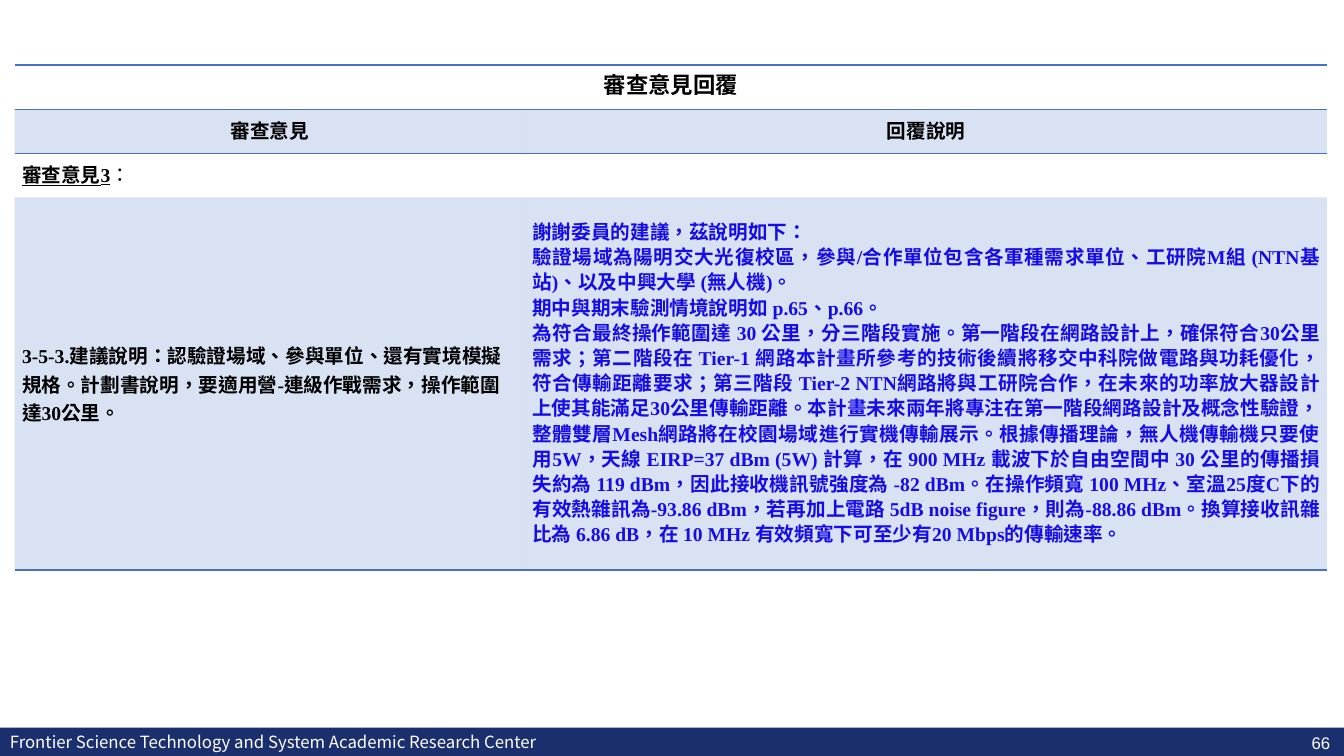
from lxml import etree
from pptx import Presentation
from pptx.dml.color import RGBColor
from pptx.enum.shapes import MSO_SHAPE
from pptx.enum.text import MSO_ANCHOR, PP_ALIGN
from pptx.oxml.ns import qn
from pptx.util import Pt

PX = 9525
CENTER, LEFT, JUSTIFY = PP_ALIGN.CENTER, PP_ALIGN.LEFT, PP_ALIGN.JUSTIFY
MIDDLE, TOP = MSO_ANCHOR.MIDDLE, MSO_ANCHOR.TOP
RECT = MSO_SHAPE.RECTANGLE

SANS, SERIF, ARIAL = "Noto Sans CJK SC", "Times New Roman", "Arial"
NAVY, BLUE, INK, REPLY, WHITE = "1B2F6E", "4472C4", "000000", "160CE8", "FFFFFF"
PLAIN_TABLE = "{2D5ABB26-0587-4C30-8999-92F81FD0307C}"

TITLE = dict(name=SANS, size=Pt(16), bold=True, color=INK)
HEAD = dict(TITLE, size=Pt(14))
BODY = dict(HEAD, name=SERIF)
ANSWER = dict(BODY, color=REPLY)
FOOTER = dict(name=SANS, size=Pt(12), color=WHITE)

COMMENT = "3-5-3.建議說明：認驗證場域、參與單位、還有實境模擬規格。計劃書說明，要適用營-連級作戰需求，操作範圍達30公里。"
REPLIES = [
    "謝謝委員的建議，茲說明如下：",
    "驗證場域為陽明交大光復校區，參與/合作單位包含各軍種需求單位、工研院M組 (NTN基站)、以及中興大學 (無人機)。",
    "期中與期末驗測情境說明如 p.65、p.66。",
    "為符合最終操作範圍達 30 公里，分三階段實施。第一階段在網路設計上，確保符合30公里需求；"
    "第二階段在 Tier-1 網路本計畫所參考的技術後續將移交中科院做電路與功耗優化，符合傳輸距離要求；"
    "第三階段 Tier-2 NTN網路將與工研院合作，在未來的功率放大器設計上使其能滿足30公里傳輸距離。"
    "本計畫未來兩年將專注在第一階段網路設計及概念性驗證，整體雙層Mesh網路將在校園場域進行實機傳輸展示。"
    "根據傳播理論，無人機傳輸機只要使用5W，天線 EIRP=37 dBm (5W) 計算，"
    "在 900 MHz 載波下於自由空間中 30 公里的傳播損失約為 119 dBm，因此接收機訊號強度為 -82 dBm。"
    "在操作頻寬 100 MHz、室溫25度C下的有效熱雜訊為-93.86 dBm，"
    "若再加上電路 5dB noise figure，則為-88.86 dBm。"
    "換算接收訊雜比為 6.86 dB，在 10 MHz 有效頻寬下可至少有20 Mbps的傳輸速率。",
]


def rgb(color):
    return RGBColor.from_string(color)


def add_run(p, text, style):
    r = p.add_run()
    r.text = text
    for key, value in style.items():
        if key == "color":
            r.font.color.rgb = rgb(value)
        else:
            setattr(r.font, key, value)
    rPr = r.font._element
    rPr.set("lang", "zh-TW")
    latin = rPr.find(qn("a:latin"))
    ea = etree.Element(qn("a:ea"), typeface=SANS)
    latin.addnext(ea)


def write(tf, paragraphs, align, spacing=None):
    """Each paragraph is a list of (text, style) runs."""
    for i, runs in enumerate(paragraphs):
        p = tf.add_paragraph() if i else tf.paragraphs[0]
        p.alignment = align
        if spacing:
            p.line_spacing = spacing
        for text, style in runs:
            add_run(p, text, style)


def add_text(s, box, text, style, align, anchor, wrap):
    tf = s.shapes.add_textbox(*(v * PX for v in box)).text_frame
    tf.word_wrap = wrap
    tf.vertical_anchor = anchor
    write(tf, [[(text, style)]], align)


def add_bar(s, box, color):
    sp = s.shapes.add_shape(RECT, *(v * PX for v in box))
    sp.shadow.inherit = False
    sp.fill.solid()
    sp.fill.fore_color.rgb = rgb(color)
    sp.line.fill.background()


def rule_cell(cell, sides):
    """Draw a thin blue border on the named sides (T, B)."""
    tcPr = cell._tc.get_or_add_tcPr()
    for i, side in enumerate(sides):
        ln = etree.Element(qn("a:ln" + side), w=str(Pt(1)))
        fill = etree.SubElement(ln, qn("a:solidFill"))
        etree.SubElement(fill, qn("a:srgbClr"), val=BLUE)
        tcPr.insert(i, ln)


def tint_cell(cell):
    cell.fill.solid()
    cell.fill.fore_color.rgb = rgb(BLUE)
    color = cell._tc.tcPr.find(".//" + qn("a:srgbClr"))
    etree.SubElement(color, qn("a:alpha"), val="20000")


def add_review_table(s, left, top, widths, heights):
    frame = s.shapes.add_table(len(heights), len(widths), left * PX, top * PX,
                               sum(widths) * PX, sum(heights) * PX)
    table = frame.table
    table._tbl.tblPr.find(qn("a:tableStyleId")).text = PLAIN_TABLE
    table.first_row = table.horz_banding = False
    for column, width in zip(table.columns, widths):
        column.width = width * PX
    for row, height in zip(table.rows, heights):
        row.height = height * PX
    for cell in table.iter_cells():
        cell.vertical_anchor = MIDDLE
        cell.margin_left = cell.margin_right = 7 * PX
        cell.margin_top = cell.margin_bottom = 0
    table.cell(0, 0).merge(table.cell(0, 1))

    label = dict(BODY, underline=True)
    colon = dict(BODY, bold=False)
    contents = [
        (0, 0, [[("審查意見回覆", TITLE)]], CENTER, Pt(18)),
        (1, 0, [[("審查意見", HEAD)]], CENTER, Pt(18)),
        (1, 1, [[("回覆說明", HEAD)]], CENTER, Pt(18)),
        (2, 0, [[("審查意見3", label), ("：", colon)]], JUSTIFY, Pt(18)),
        (3, 0, [[(COMMENT, BODY)]], LEFT, None),
        (3, 1, [[(text, ANSWER)] for text in REPLIES], JUSTIFY, Pt(18)),
    ]
    for row, col, paragraphs, align, spacing in contents:
        write(table.cell(row, col).text_frame, paragraphs, align, spacing)

    for col in range(len(widths)):
        for row in (1, 3):
            tint_cell(table.cell(row, col))
        for row, sides in ((0, "TB"), (1, "T"), (3, "B")):
            rule_cell(table.cell(row, col), sides)


def main():
    prs = Presentation()
    prs.slide_width, prs.slide_height = 1280 * PX, 720 * PX
    s = prs.slides.add_slide(prs.slide_layouts[6])
    add_bar(s, (0, 693, 1280, 27), NAVY)
    add_text(s, (0, 692, 529, 29),
             "Frontier Science Technology and System Academic Research Center",
             FOOTER, LEFT, TOP, False)
    add_text(s, (1236, 690, 44, 34), "66", dict(FOOTER, name=ARIAL), CENTER, MIDDLE, True)
    add_review_table(s, 14, 62, (486, 764), (42, 42, 42, 355))
    prs.save("out.pptx")


if __name__ == "__main__":
    main()
